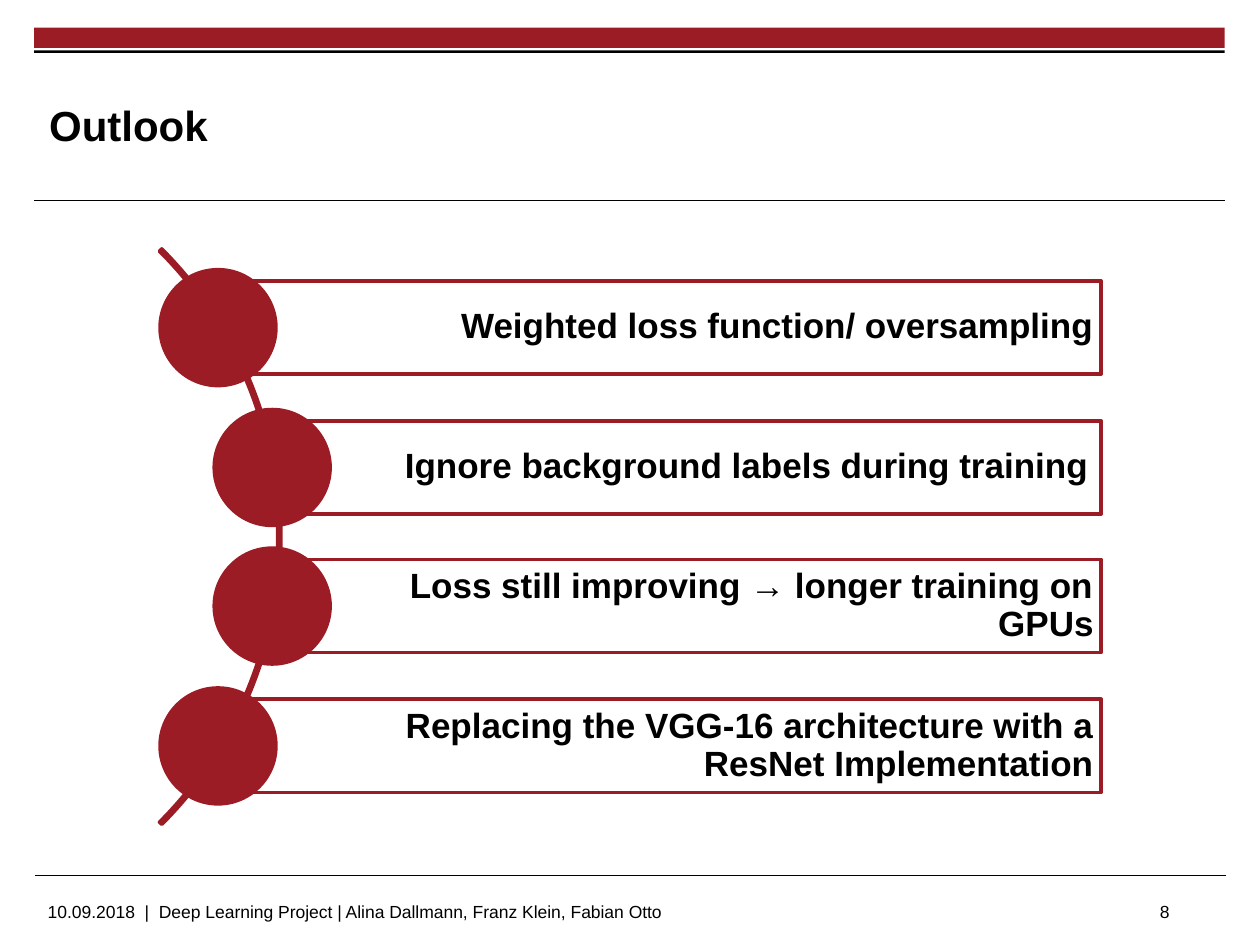
from typing import NamedTuple

from lxml import etree
from pptx import Presentation
from pptx import util as u
from pptx.dml.color import RGBColor
from pptx.enum import shapes, text
from pptx.oxml.ns import qn

PX = 9144
RED = RGBColor(0x9C, 0x1C, 0x26)
BLACK = RGBColor(0, 0, 0)
FONT = "Arial"

ROW_TOP, ROW_PITCH, ROW_H, ROW_RIGHT = 223, 110.6, 74, 874
DOT = 92
FULL_INSETS = (59, 6, 6, 6)


class Box(NamedTuple):
    x: int
    y: int
    w: int
    h: int


class Row(NamedTuple):
    left: int
    label: str
    insets: tuple[int, int, int, int] = FULL_INSETS


ROWS = [
    Row(173, "Weighted loss function/ oversampling"),
    Row(216, "Ignore background labels during training", (10, 10, 10, 10)),
    Row(216, "Loss still improving → longer training on GPUs"),
    Row(173, "Replacing the VGG-16 architecture with a ResNet Implementation"),
]


def emu(box: Box) -> list[int]:
    return [v * PX for v in box]


def add_shape(s, kind, box: Box, fill: RGBColor | None = None, line: RGBColor | None = None):
    sp = s.shapes.add_shape(kind, *emu(box))
    sp.shadow.inherit = False
    if fill is None:
        sp.fill.background()
    else:
        sp.fill.solid()
        sp.fill.fore_color.rgb = fill
    if line is None:
        sp.line.fill.background()
    else:
        sp.line.color.rgb = line
        sp.line.width = u.Pt(2)
    return sp


def set_text(sp, content: str, *, size: int, bold: bool = False, align=text.PP_ALIGN.LEFT,
             anchor=text.MSO_ANCHOR.TOP, insets=(10, 5, 10, 5), spacing: float = 1.0) -> None:
    tf = sp.text_frame
    tf.word_wrap = True
    tf.vertical_anchor = anchor
    tf.margin_left, tf.margin_top, tf.margin_right, tf.margin_bottom = (v * PX for v in insets)
    p = tf.paragraphs[0]
    p.alignment = align
    p.line_spacing = spacing
    r = p.add_run()
    r.text = content
    r.font.name = FONT
    r.font.size = u.Pt(size)
    r.font.bold = bold
    r.font.color.rgb = BLACK


def add_text(s, box: Box, content: str, **fmt) -> None:
    set_text(s.shapes.add_textbox(*emu(box)), content, **fmt)


def add_rule(s, x: int, y: int, w: int) -> None:
    ln = s.shapes.add_connector(shapes.MSO_CONNECTOR.STRAIGHT, x * PX, y * PX, (x + w) * PX, y * PX)
    ln.line.color.rgb = BLACK
    ln.line.width = u.Pt(0.6)
    etree.SubElement(ln._element.spPr, qn("a:effectLst"))


def add_row(s, row: Row, top: int) -> None:
    bar = Box(row.left, top, ROW_RIGHT - row.left, ROW_H)
    sp = add_shape(s, shapes.MSO_SHAPE.RECTANGLE, bar, line=RED)
    set_text(sp, row.label, size=20, bold=True, align=text.PP_ALIGN.RIGHT,
             anchor=text.MSO_ANCHOR.MIDDLE, insets=row.insets, spacing=0.9)
    dot = Box(row.left - DOT // 2, top - (DOT - ROW_H) // 2, DOT, DOT)
    add_shape(s, shapes.MSO_SHAPE.OVAL, dot, fill=RED, line=RED)


def main() -> None:
    prs = Presentation()
    prs.slide_width, prs.slide_height = 1000 * PX, 750 * PX
    s = prs.slides.add_slide(prs.slide_layouts[6])

    add_shape(s, shapes.MSO_SHAPE.RECTANGLE, Box(27, 22, 945, 16), fill=RED)
    add_shape(s, shapes.MSO_SHAPE.RECTANGLE, Box(27, 40, 945, 2), fill=BLACK)
    add_rule(s, 27, 159, 945)
    add_rule(s, 28, 695, 945)
    add_text(s, Box(39, 53, 726, 92), "Outlook", size=24, bold=True,
             anchor=text.MSO_ANCHOR.MIDDLE, insets=(0, 0, 0, 0))

    arc = add_shape(s, shapes.MSO_SHAPE.BLOCK_ARC, Box(-423, 103, 646, 646), line=RED)
    for i, value in enumerate((189, 27, 0.004)):
        arc.adjustments[i] = value
    for i, row in enumerate(ROWS):
        add_row(s, row, ROW_TOP + round(i * ROW_PITCH))

    add_text(s, Box(28, 710, 788, 25), "10.09.2018  |  Deep Learning Project | "
             "Alina Dallmann, Franz Klein, Fabian Otto", size=10)
    add_text(s, Box(713, 710, 225, 40), "8", size=10, align=text.PP_ALIGN.RIGHT)
    prs.save("out.pptx")


if __name__ == "__main__":
    main()
